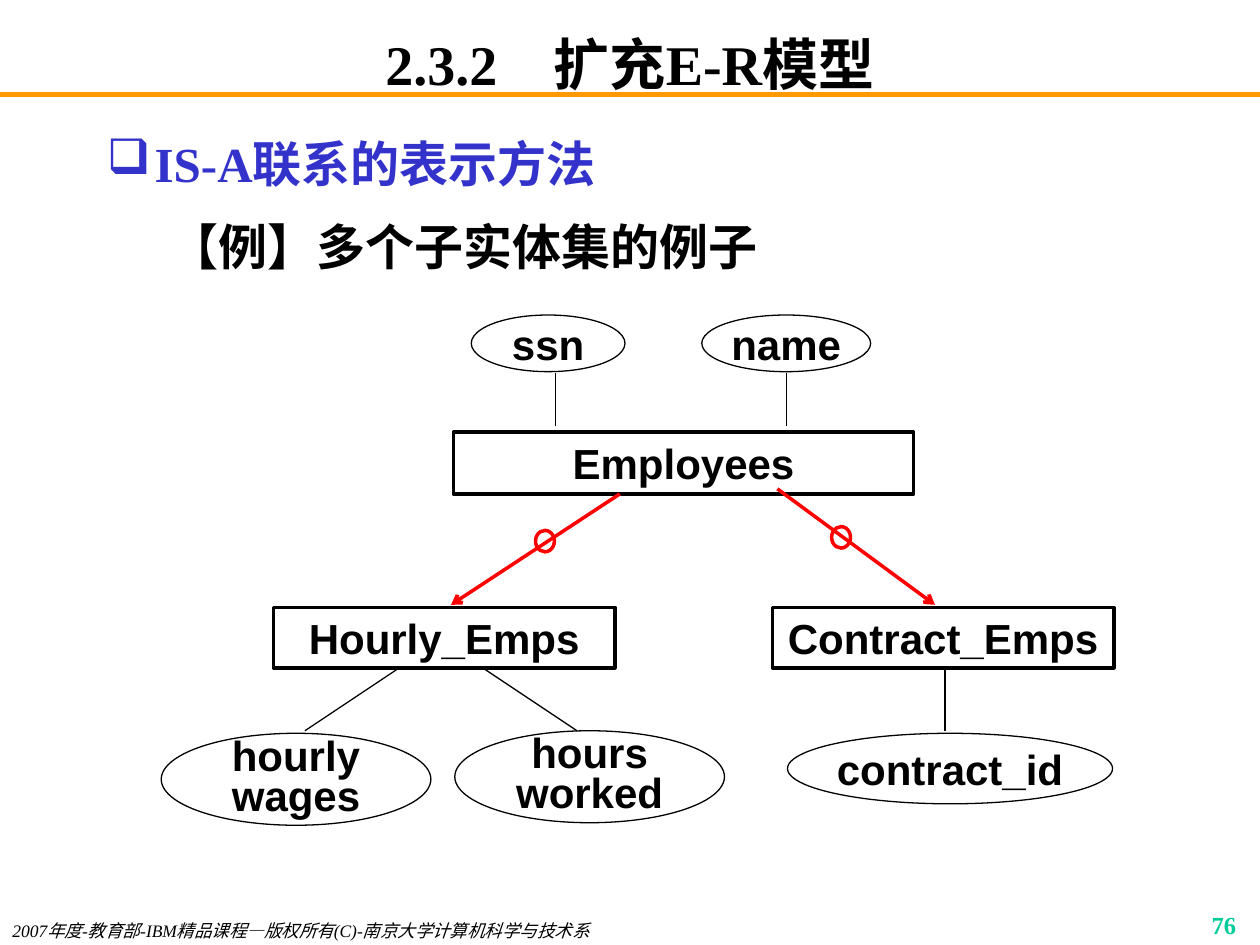
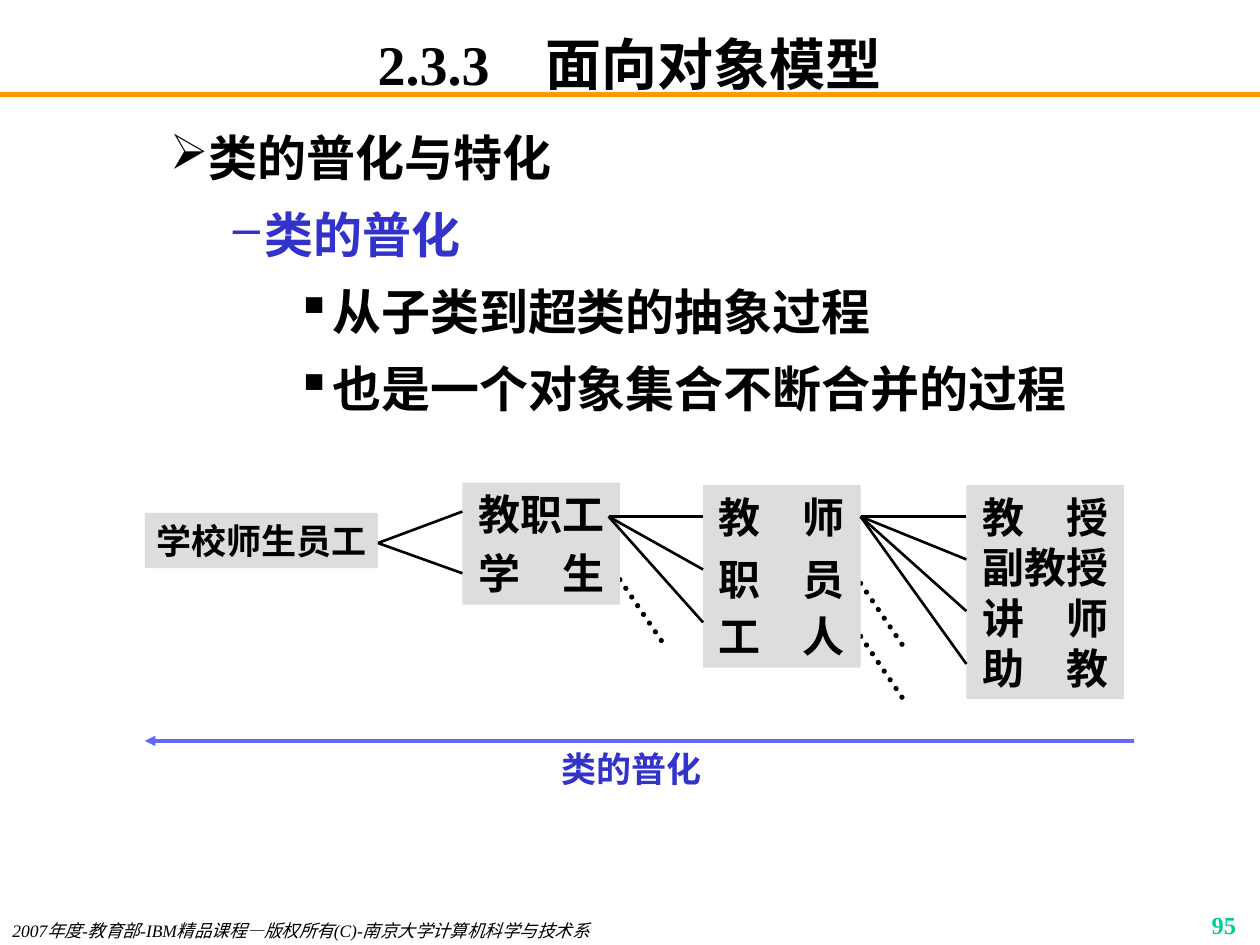
from pptx import Presentation
from pptx.dml.color import RGBColor
from pptx.enum.dml import MSO_LINE
from pptx.enum.shapes import MSO_CONNECTOR, MSO_SHAPE
from pptx.enum.text import MSO_ANCHOR, MSO_AUTO_SIZE, PP_ALIGN
from pptx.oxml.ns import qn
from pptx.util import Inches, Pt
from lxml import etree

RECT, OVAL = MSO_SHAPE.RECTANGLE, MSO_SHAPE.OVAL
STRAIGHT, DOTTED = MSO_CONNECTOR.STRAIGHT, MSO_LINE.ROUND_DOT
LEFT, CENTER, RIGHT = PP_ALIGN.LEFT, PP_ALIGN.CENTER, PP_ALIGN.RIGHT
TOP, MIDDLE = MSO_ANCHOR.TOP, MSO_ANCHOR.MIDDLE
FIT = MSO_AUTO_SIZE.SHAPE_TO_FIT_TEXT

C = {"black": "000000", "white": "FFFFFF", "orange": "FF9900", "blue": "3333CC",
     "violet": "6666FF", "green": "00CC99", "red": "FF0000", "grey": "DDDDDD"}
SERIF, SANS = "Times New Roman", "Arial"
FOOTER = "2007年度-教育部-IBM精品课程—版权所有(C)-南京大学计算机科学与技术系"


def add_box(s, kind, at, text="", size=24, font=SERIF, color="black", fill=None,
            outline=None, align=CENTER, anchor=TOP, inset=(0.1, 0.05),
            bold=True, italic=False, spacing=None):
    """Add a text box (kind None) or a preset shape with uniform text."""
    at = [Inches(v) for v in at]
    if kind is None:
        sp = s.shapes.add_textbox(*at)
    else:
        sp = s.shapes.add_shape(kind, *at)
        sp.shadow.inherit = False
        if fill:
            sp.fill.solid()
            sp.fill.fore_color.rgb = RGBColor.from_string(C[fill])
        else:
            sp.fill.background()
        if outline:
            sp.line.color.rgb = RGBColor.from_string(C[outline[0]])
            sp.line.width = Pt(outline[1])
        else:
            sp.line.fill.background()
    tf = sp.text_frame
    tf.word_wrap = True
    tf.vertical_anchor = anchor
    tf.margin_left = tf.margin_right = Inches(inset[0])
    tf.margin_top = tf.margin_bottom = Inches(inset[1])
    tf.text = text
    for p in tf.paragraphs:
        p.alignment = align
        if spacing:
            p.line_spacing = spacing
        for r in p.runs:
            r.font.name, r.font.size = font, Pt(size)
            r.font.bold, r.font.italic = bold, italic
            r.font.color.rgb = RGBColor.from_string(C[color])
    return sp


def add_line(s, start, end, color="black", width=0.75, arrow=None, dotted=False):
    """Add a straight line, with an optional arrowhead at its end."""
    cx = s.shapes.add_connector(STRAIGHT, *[Inches(v) for v in (*start, *end)])
    cx.line.color.rgb = RGBColor.from_string(C[color])
    cx.line.width = Pt(width)
    ln = cx.line._get_or_add_ln()
    if dotted:
        cx.line.dash_style = DOTTED
        ln.set("cap", "rnd")
    if arrow:
        etree.SubElement(ln, qn("a:tailEnd"), type=arrow)
    etree.SubElement(ln.getparent(), qn("a:effectLst"))


prs = Presentation()
prs.slide_width, prs.slide_height = Inches(10), Inches(7.5)

# Shared frame and outline text: title, page, body height, line spacing,
# paragraphs as (text, colour, bullet, left indent, first-line indent)
pages = [
    ("2.3.2　扩充E-R模型", 76, 1.58, 1.2, [
        ("IS-A联系的表示方法", "blue", "❑", 0.38, -0.38),
        ("【例】多个子实体集的例子", "black", None, 0.81, -0.31)]),
    ("2.3.3　面向对象模型", 95, 2.58, 1.1, [
        ("类的普化与特化", "black", "➢", 0.81, -0.31),
        ("类的普化", "blue", "–", 1.25, -0.25),
        ("从子类到超类的抽象过程", "black", "▪", 1.75, -0.25),
        ("也是一个对象集合不断合并的过程", "black", "▪", 1.75, -0.25)]),
]
slides = []
for title, number, height, spacing, items in pages:
    s = prs.slides.add_slide(prs.slide_layouts[6])
    slides.append(s)
    add_line(s, (0, 0.75), (10, 0.75), "orange", 3)
    add_box(s, None, (0.75, 0.25, 8.5, 0.5), title, 32, anchor=MIDDLE, inset=(0.1, 0))
    sp = add_box(s, None, (0.75, 0.92, 8.5, height), "\n".join(i[0] for i in items),
                 28, align=LEFT, spacing=spacing)
    for i, (p, item) in enumerate(zip(sp.text_frame.paragraphs, items)):
        text, color, bullet, left, first = item
        pPr = p._p.get_or_add_pPr()
        pPr.set("marL", str(Inches(left)))
        pPr.set("indent", str(Inches(first)))
        if bullet:
            clr = etree.SubElement(pPr, qn("a:buClr"))
            etree.SubElement(clr, qn("a:srgbClr"), val=C[color])
            etree.SubElement(pPr, qn("a:buChar"), char=bullet)
        if i:
            p.space_before = Pt(7)
        p.runs[0].font.color.rgb = RGBColor.from_string(C[color])
    add_box(s, None, (0, 7.25, 5.5, 0.25), FOOTER, 10, align=LEFT, bold=False, italic=True)
    add_box(s, None, (7.83, 7.17, 2.08, 0.25), str(number), 14, color="green", align=RIGHT)

# Slide 1: entities
s = slides[0]
for name, at in [("Employees", (3.6, 3.43, 3.65, 0.49)),
                 ("Hourly_Emps", (2.17, 4.82, 2.71, 0.48)),
                 ("Contract_Emps", (6.13, 4.82, 2.71, 0.48))]:
    add_box(s, RECT, at, name, font=SANS, fill="white", outline=("black", 2), anchor=MIDDLE)

# Attributes
for name, at, spacing in [("ssn", (3.74, 2.5, 1.22, 0.45), None),
                          ("name", (5.57, 2.5, 1.34, 0.45), None),
                          ("hourly wages", (1.28, 5.82, 2.14, 0.73), 0.8),
                          ("hours worked", (3.61, 5.8, 2.14, 0.73), 0.8),
                          ("contract_id", (6.25, 5.82, 2.58, 0.56), None)]:
    add_box(s, OVAL, at, name, font=SANS, fill="white", outline=("black", 0.75),
            anchor=MIDDLE, inset=(0, 0), spacing=spacing)
for x in (4.41, 6.24):
    add_line(s, (x, 2.96), (x, 3.38))
for x1, x2 in [(3.17, 2.42), (3.83, 4.58), (7.5, 7.5)]:
    add_line(s, (x1, 5.3), (x2, 5.8))

# IS-A arrows, each with a ring on it
for start, end, ring in [((4.92, 3.92), (3.58, 4.8), (4.25, 4.21)),
                         ((6.17, 3.88), (7.42, 4.8), (6.6, 4.18))]:
    add_line(s, start, end, "red", 2, arrow="arrow")
    add_box(s, OVAL, (*ring, 0.15, 0.17), outline=("red", 2))

# Slide 2: dotted branches left open
s = slides[1]
for x, y in [(4.92, 4.6), (6.83, 4.63), (6.83, 5.05)]:
    add_line(s, (x, y), (x + 0.34, y + 0.5), width=3, dotted=True)

# Class boxes
sp = add_box(s, RECT, (1.15, 4.07, 1.85, 0.44), "学校师生员工", 20, fill="grey", inset=(0, 0.05))
sp.text_frame.auto_size = FIT
for text, x, y, h in [("教职工", 3.67, 3.83, 0.5), ("学　生", 3.67, 4.3, 0.5),
                      ("教　师", 5.58, 3.85, 0.5), ("职　员", 5.58, 4.34, 0.5),
                      ("工　人", 5.58, 4.8, 0.5),
                      ("教　授\n副教授\n讲　师\n助　教", 7.67, 3.85, 1.7)]:
    sp = add_box(s, RECT, (x, y, 1.25, h), text, fill="grey")
    sp.text_frame.auto_size = FIT

# Branches fanning out to the subclasses
for start, x, ends in [((3, 4.31), 3.67, (4.06, 4.55)),
                       ((4.83, 4.1), 5.58, (4.1, 4.52, 4.94)),
                       ((6.83, 4.1), 7.67, (4.1, 4.44, 4.85, 5.27))]:
    for y in ends:
        add_line(s, start, (x, y), width=1.5)

# Direction of generalisation
add_line(s, (9, 5.88), (1.15, 5.88), "violet", 2, arrow="triangle")
sp = add_box(s, None, (4.36, 5.88, 1.31, 0.44), "类的普化", 20, color="blue")
sp.text_frame.word_wrap = False
sp.text_frame.auto_size = FIT

prs.save("out.pptx")
